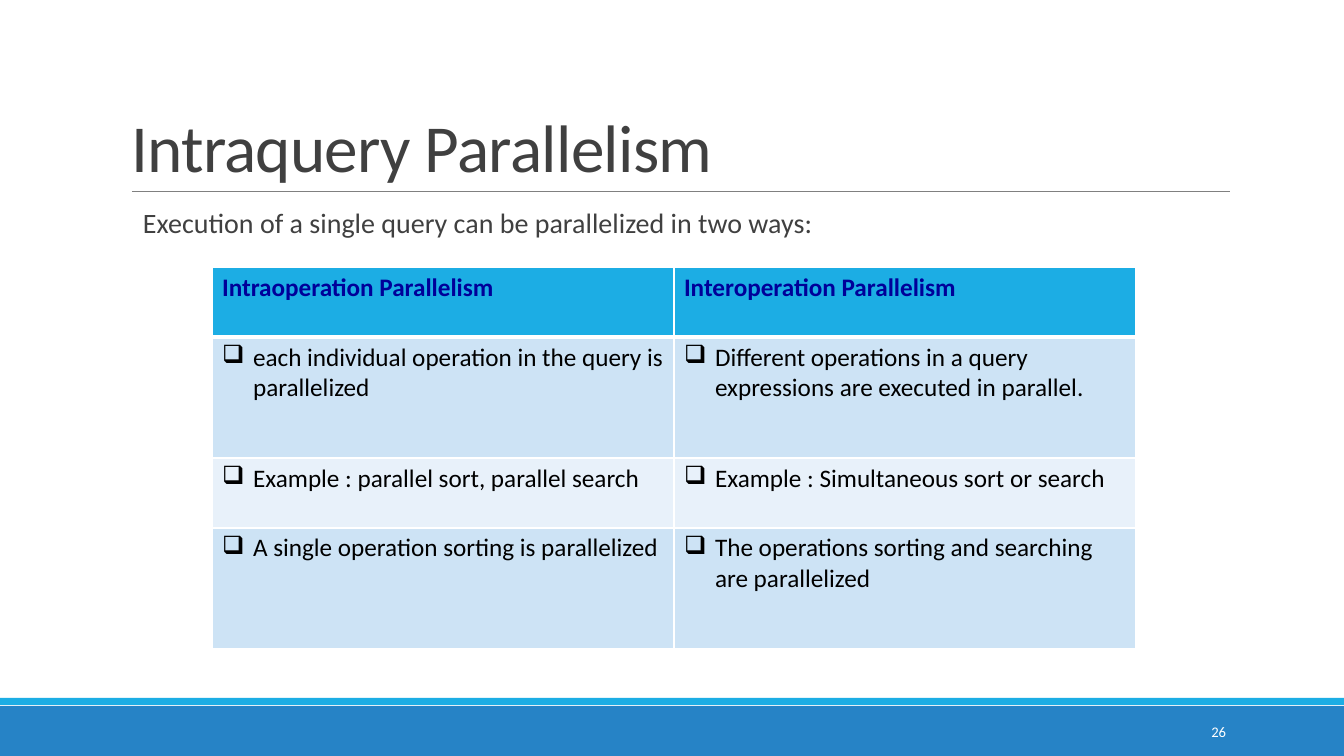
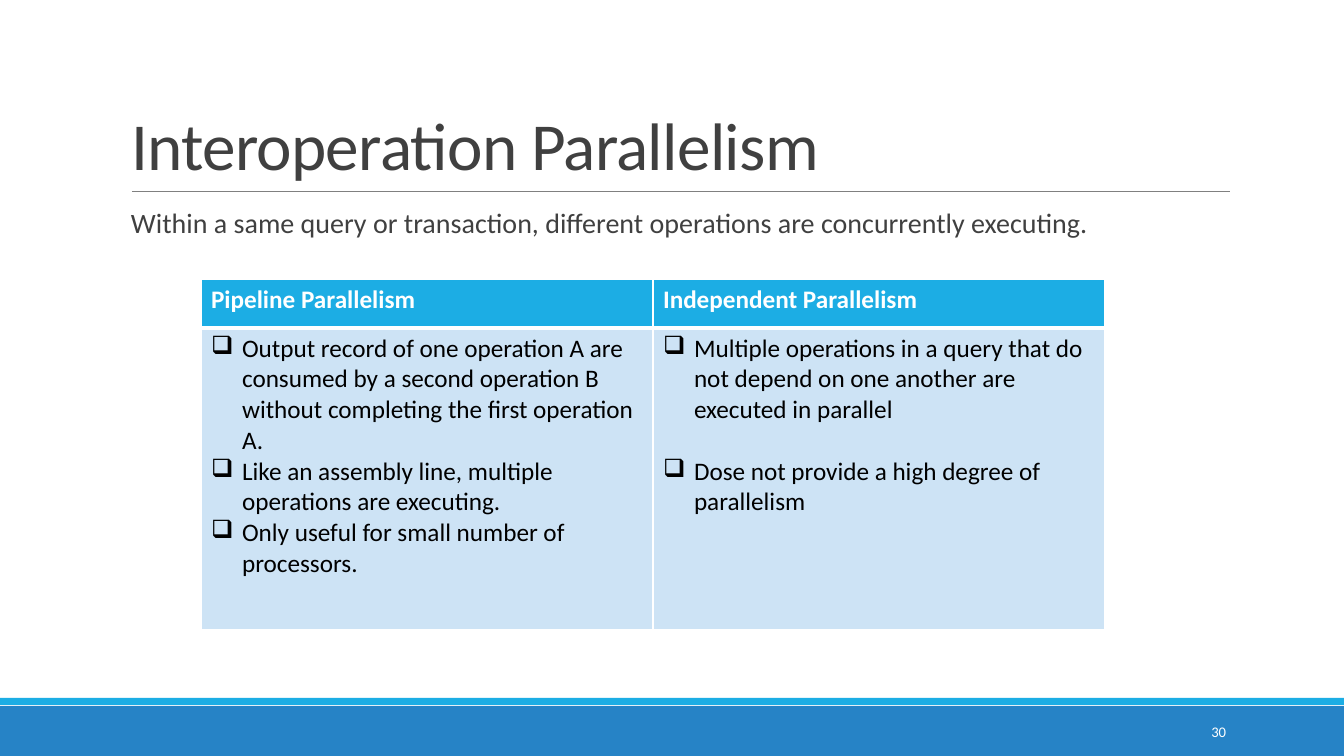
from lxml import etree
from pptx import Presentation
from pptx import util as u
from pptx.dml.color import RGBColor
from pptx.enum import shapes, text
from pptx.oxml import ns

# Shared style
PX = 914400 / 100.8
FONT = "Calibri"
COLORS = {
    "footer": "2683C6", "accent": "1CADE4", "rule": "808080",
    "text": "404040", "navy": "000099", "white": "FFFFFF", "black": "000000",
    "odd_row": "CDE3F5", "even_row": "E8F1FA",
}
BULLET_INDENT = 31
LINE_GAP = 22


def px(n):
    return u.Emu(round(n * PX))


def box(*lengths):
    return [px(n) for n in lengths]


def rgb(name):
    return RGBColor.from_string(COLORS[name])


def sub(parent, tag, **attrs):
    return etree.SubElement(parent, ns.qn(tag), attrs)


# Text
def add_run(p, words, size, color, bold=False):
    r = p.add_run()
    r.text = words
    r.font.name = FONT
    r.font.size = u.Pt(size)
    r.font.bold = bold
    r.font.color.rgb = rgb(color)
    return r


def set_bullet(p, left, hanging=0, char=None):
    pPr = p._p.get_or_add_pPr()
    pPr.set("marL", str(px(left)))
    pPr.set("indent", str(-px(hanging)))
    if char:
        sub(pPr, "a:buChar", char=char)
    else:
        sub(pPr, "a:buNone")


def place(sp, left, top, width, height):
    sp.left, sp.top, sp.width, sp.height = box(left, top, width, height)
    tf = sp.text_frame
    tf.word_wrap = True
    tf.auto_size = text.MSO_AUTO_SIZE.NONE
    return tf


def add_title(s, words, top):
    tf = place(s.shapes.title, 121, top, 1109, 160)
    tf.vertical_anchor = text.MSO_ANCHOR.BOTTOM
    p = tf.paragraphs[0]
    p.alignment = text.PP_ALIGN.LEFT
    p.line_spacing = 0.85
    r = add_run(p, words, 48, "text")
    r._r.get_or_add_rPr().set("spc", "-50")


def add_lead(s, words, indent):
    tf = place(s.placeholders[1], 121, 204, 1109, 444)
    tf.margin_left = tf.margin_right = 0
    p = tf.paragraphs[0]
    set_bullet(p, indent)
    p.line_spacing = 0.9
    p.space_before = u.Pt(0)
    add_run(p, words, 20, "text")


# Bands, title rule and page number
def add_band(s, top, height, color):
    sp = s.shapes.add_shape(shapes.MSO_SHAPE.RECTANGLE, *box(0, top, 1344, height))
    sp.shadow.inherit = False
    sp.fill.solid()
    sp.fill.fore_color.rgb = rgb(color)
    sp.line.fill.background()


def add_frame(s, number):
    add_band(s, 706, 50, "footer")
    add_band(s, 698, 7, "accent")
    rule = s.shapes.add_connector(shapes.MSO_CONNECTOR.STRAIGHT, *box(132, 191, 1230, 191))
    rule.line.color.rgb = rgb("rule")
    rule.line.width = u.Pt(0.5)
    sub(rule._element.spPr, "a:effectLst")
    sp = s.shapes.add_textbox(*box(1092, 712, 144, 40))
    tf = sp.text_frame
    tf.word_wrap = True
    tf.vertical_anchor = text.MSO_ANCHOR.MIDDLE
    p = tf.paragraphs[0]
    p.alignment = text.PP_ALIGN.RIGHT
    add_run(p, number, 10.5, "white")


# Tables
def style_cell(cell, fill, top=1, bottom=1):
    tcPr = cell._tc.get_or_add_tcPr()
    for side, points in zip("LRTB", (1, 1, top, bottom)):
        ln = sub(tcPr, "a:ln" + side, w=str(u.Pt(points)))
        sub(sub(ln, "a:solidFill"), "a:srgbClr", val=COLORS["white"])
    cell.fill.solid()
    cell.fill.fore_color.rgb = rgb(fill)


def fill_items(cell, items, gap):
    tf = cell.text_frame
    for i, item in enumerate(items):
        p = tf.add_paragraph() if i else tf.paragraphs[0]
        set_bullet(p, BULLET_INDENT, BULLET_INDENT, "❑")
        p.space_before = u.Pt(gap if i else 0)
        add_run(p, item, 18, "black")


def add_comparison(s, left, top, col_width, heights, header, header_color, rows, gaps=(0, 0)):
    """Each cell of rows is a list of bullet items; gaps go between items, by column."""
    frame = s.shapes.add_table(len(heights), len(header),
                               *box(left, top, col_width * len(header), sum(heights)))
    table = frame.table
    table.horz_banding = False
    for column in table.columns:
        column.width = px(col_width)
    for row, height in zip(table.rows, heights):
        row.height = px(height)
    for c, words in enumerate(header):
        cell = table.cell(0, c)
        style_cell(cell, "accent", bottom=3)
        add_run(cell.text_frame.paragraphs[0], words, 18, header_color, bold=True)
    for n, row in enumerate(rows, 1):
        for c, items in enumerate(row):
            cell = table.cell(n, c)
            style_cell(cell, "odd_row" if n % 2 else "even_row", top=3 if n == 1 else 1)
            fill_items(cell, items, gaps[c])


def add_slide(prs, title, title_top, lead, indent, number):
    s = prs.slides.add_slide(prs.slide_layouts[1])
    add_frame(s, number)
    add_title(s, title, title_top)
    add_lead(s, lead, indent)
    return s


def main():
    prs = Presentation()
    prs.slide_width, prs.slide_height = box(1344, 756)

    # Intraquery parallelism
    s = add_slide(prs, "Intraquery Parallelism", 31,
                  "Execution of a single query can be parallelized in two ways:", 22, "26")
    add_comparison(
        s, 212, 267, 462, [70, 121, 70, 121],
        ["Intraoperation Parallelism", "Interoperation Parallelism"], "navy",
        [
            [["each individual operation in the query is parallelized"],
             ["Different operations in a query expressions are executed in parallel."]],
            [["Example : parallel sort, parallel search"],
             ["Example : Simultaneous sort or search"]],
            [["A single operation sorting is parallelized"],
             ["The operations sorting and searching are parallelized"]],
        ])

    # Interoperation parallelism
    s = add_slide(prs, "Interoperation Parallelism", 29,
                  "Within a same query or transaction, different operations are "
                  "concurrently executing.", 10, "30")
    add_comparison(
        s, 201, 279, 452, [49, 302],
        ["Pipeline Parallelism", "Independent Parallelism"], "white",
        [
            [["Output record of one operation A are consumed by a second operation B "
              "without completing the first operation A.",
              "Like an assembly line, multiple operations are executing.",
              "Only useful for small number of processors."],
             ["Multiple operations in a query that do not depend on one another are "
              "executed in parallel",
              "Dose not provide a high degree of parallelism"]],
        ], gaps=(0, LINE_GAP))

    prs.save("out.pptx")


if __name__ == "__main__":
    main()
